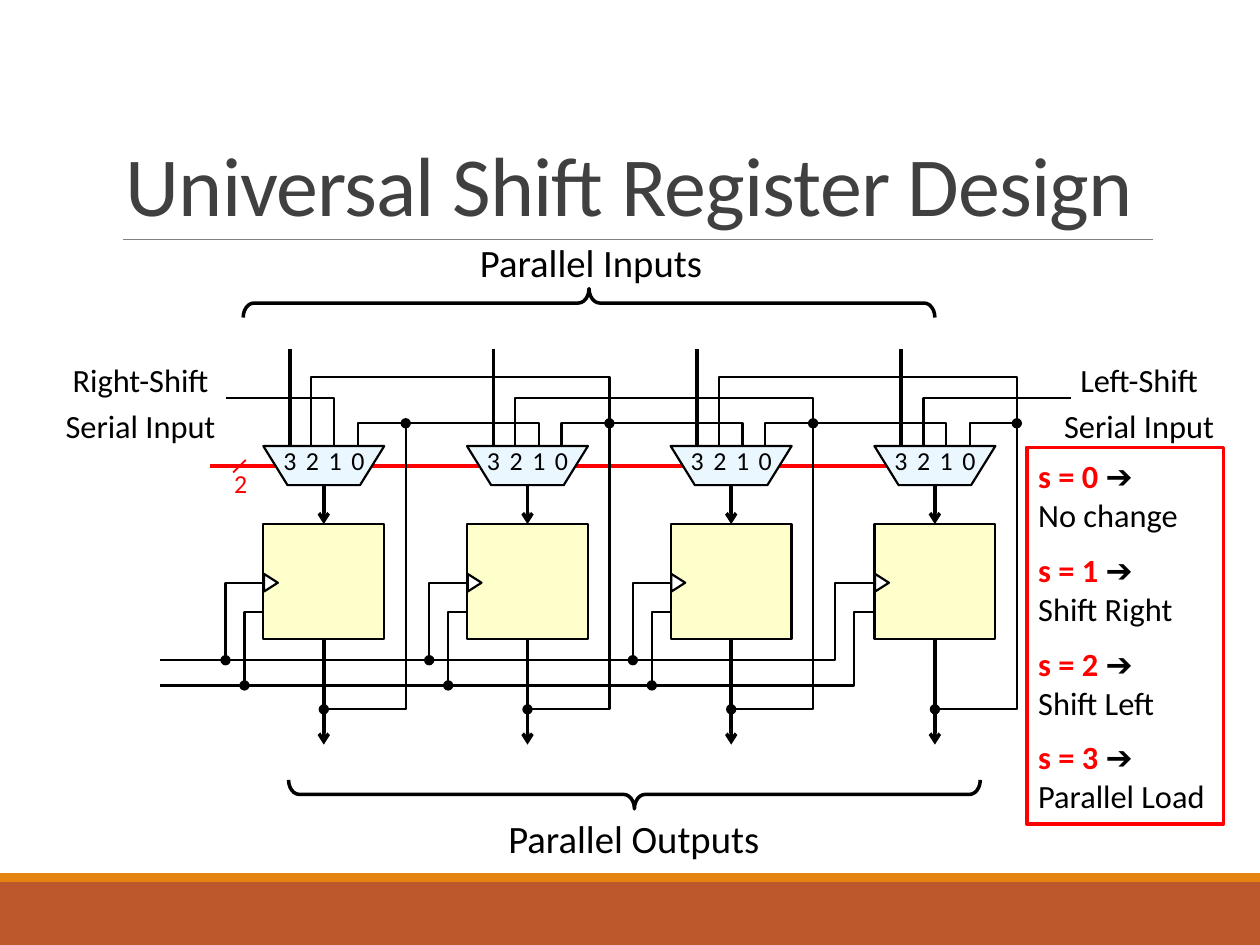
import pptx
import pptx.util
import pptx.dml.color
import pptx.enum.shapes
import pptx.enum.text
import pptx.oxml.ns
import lxml.etree
import dataclasses

Inches = pptx.util.Inches
Pt = pptx.util.Pt
Shape = pptx.enum.shapes.MSO_SHAPE
Align = pptx.enum.text.PP_ALIGN
Anchor = pptx.enum.text.MSO_ANCHOR
qn = pptx.oxml.ns.qn


@dataclasses.dataclass(frozen=True)
class Theme:
    font: str = "Calibri"
    ink: str = "000000"
    red: str = "FF0000"
    gray: str = "404040"
    rule: str = "808080"
    rust: str = "BD582C"
    gold: str = "E48312"
    mux: str = "EBF7FF"
    cell: str = "FFFFCC"
    white: str = "FFFFFF"
    title: float = 48
    head: float = 22.1
    label: float = 18.5
    small: float = 14.8
    thin: float = 1.25
    thick: float = 2


def color(code):
    return pptx.dml.color.RGBColor.from_string(code)


class Board:
    def __init__(self, slide, theme):
        self.slide = slide
        self.theme = theme

    def stroke(self, line, code, width, head=None, tail=None):
        line.color.rgb = color(code)
        line.width = Pt(width)
        for tag, kind in (("a:headEnd", head), ("a:tailEnd", tail)):
            if kind:
                end = lxml.etree.SubElement(line._get_or_add_ln(), qn(tag))
                end.set("type", kind)

    def line(self, x1, y1, x2, y2, code=None, width=None, tail=None):
        link = self.slide.shapes.add_connector(
            pptx.enum.shapes.MSO_CONNECTOR.STRAIGHT,
            Inches(x1), Inches(y1), Inches(x2), Inches(y2))
        self.stroke(link.line, code or self.theme.ink,
                    width or self.theme.thick, tail=tail)
        lxml.etree.SubElement(link._element.spPr, qn("a:effectLst"))
        return link

    def wire(self, *points, head=None, tail=None):
        spots = [(Inches(x), Inches(y)) for x, y in points]
        path = self.slide.shapes.build_freeform(*spots[0])
        path.add_line_segments(spots[1:], close=False)
        shape = path.convert_to_shape()
        shape.shadow.inherit = False
        shape.fill.background()
        self.stroke(shape.line, self.theme.ink, self.theme.thin, head, tail)

    def shape(self, kind, x, y, w, h, fill=None, edge=None, width=None, turn=0):
        shape = self.slide.shapes.add_shape(
            kind, Inches(x), Inches(y), Inches(w), Inches(h))
        shape.shadow.inherit = False
        shape.rotation = turn
        if fill:
            shape.fill.solid()
            shape.fill.fore_color.rgb = color(fill)
        else:
            shape.fill.background()
        if edge:
            self.stroke(shape.line, edge, width or self.theme.thin)
        else:
            shape.line.fill.background()
        return shape

    def brace(self, x, y, turn):
        brace = self.shape(Shape.RIGHT_BRACE, x, y, 0.23, 5.49,
                           edge=self.theme.ink, width=self.theme.thick, turn=turn)
        brace.adjustments[0] = 0.372

    def frame(self, shape, pad=0, anchor=Anchor.MIDDLE):
        frame = shape.text_frame
        frame.word_wrap = True
        frame.vertical_anchor = anchor
        frame.margin_left = frame.margin_right = Inches(pad)
        frame.margin_top = frame.margin_bottom = 0
        return frame

    def style(self, para, size, code, align=Align.CENTER):
        para.alignment = align
        para.font.name = self.theme.font
        para.font.size = Pt(size)
        para.font.color.rgb = color(code)

    def text(self, x, y, w, h, rows, size, code=None, space=None):
        box = self.slide.shapes.add_textbox(
            Inches(x), Inches(y), Inches(w), Inches(h))
        frame = self.frame(box)
        for i, row in enumerate(rows):
            para = frame.add_paragraph() if i else frame.paragraphs[0]
            para.add_run().text = row
            if space:
                para.line_spacing = space
            self.style(para, size, code or self.theme.ink)
        return box

    def title(self, text):
        box = self.text(0.9, 0.31, 8.25, 1.59, [text],
                        self.theme.title, self.theme.gray, 0.85)
        frame = self.frame(box, 0.1, Anchor.BOTTOM)
        frame.margin_bottom = Inches(0.05)
        para = frame.paragraphs[0]
        para.alignment = Align.LEFT
        para.runs[0]._r.get_or_add_rPr().set("spc", "-50")

    def legend(self, x, y, w, h, modes):
        box = self.shape(Shape.RECTANGLE, x, y, w, h,
                         edge=self.theme.red, width=self.theme.thick)
        frame = self.frame(box, 0.09)
        for i, mode in enumerate(modes):
            para = frame.add_paragraph() if i else frame.paragraphs[0]
            if i:
                para.space_before = Pt(9.2)
            self.style(para, self.theme.label, self.theme.ink, Align.LEFT)
            code = para.add_run()
            code.text = f"s = {i} "
            code.font.bold = True
            code.font.color.rgb = color(self.theme.red)
            para.add_run().text = "➔"
            para = frame.add_paragraph()
            para.add_run().text = mode
            self.style(para, self.theme.label, self.theme.ink, Align.LEFT)

    def stage(self, x):
        theme = self.theme
        mid = x + 0.48
        mux = self.shape(Shape.FLOWCHART_MANUAL_OPERATION, x, 3.54, 0.96, 0.31,
                         theme.mux, theme.ink)
        for i, pin in enumerate("3210"):
            self.text(x + 0.12 + 0.18 * i, 3.56, 0.18, 0.19, [pin], theme.small)
        cell = self.shape(Shape.RECTANGLE, x, 4.16, 0.96, 0.91, theme.cell, theme.ink)
        self.shape(Shape.ISOSCELES_TRIANGLE, x - 0.01, 4.57, 0.14, 0.11,
                   theme.white, theme.ink, turn=90)
        feed = self.line(mid, 3.85, mid, 4.16, tail="arrow")
        feed.begin_connect(mux, 2)
        feed.end_connect(cell, 0)
        out = self.line(mid, 5.07, mid, 5.91, tail="arrow")
        out.begin_connect(cell, 2)
        self.line(x + 0.21, 2.77, x + 0.21, 3.54)
        self.wire((mid, 5.63), (x + 1.13, 5.63), (x + 1.13, 3.36),
                  head="oval", tail="oval")


def main():
    deck = pptx.Presentation()
    deck.slide_width, deck.slide_height = Inches(10), Inches(7.5)
    theme = Theme()
    board = Board(deck.slides.add_slide(deck.slide_layouts[6]), theme)

    board.shape(Shape.RECTANGLE, 0, 7, 10, 0.5, theme.rust)
    board.shape(Shape.RECTANGLE, 0, 6.93, 10, 0.07, theme.gold)
    board.line(0.98, 1.9, 9.15, 1.9, theme.rule, 0.5)
    board.title("Universal Shift Register Design")

    first, last = 2.09, 6.94
    step = (last - first) / 3
    lefts = [first + step * i for i in range(4)]
    board.line(1.67, 3.7, 7.12, 3.7, theme.red, 2.5)
    board.wire((first + 0.56, 3.54), (first + 0.56, 3.16), (1.79, 3.16))
    board.wire((last + 0.39, 3.54), (last + 0.39, 3.16), (8.5, 3.16))
    board.wire((last + 0.76, 3.54), (last + 0.76, 3.36), (last + 1.14, 3.36))
    for i, x in enumerate(lefts[:-1]):
        top = 3.16 if i % 2 else 2.99
        tap = lefts[i + 1] + 1.13
        board.wire((x + 0.38, 3.54), (x + 0.38, top), (tap, top), (tap, 3.36))
        pin = lefts[i + 1] + 0.57
        board.wire((x + 0.75, 3.54), (x + 0.75, 3.36), (pin, 3.36), (pin, 3.54))
    for gap, port, bus in ((0.3, 4.63, 5.24), (0.15, 4.86, 5.44)):
        for x in lefts[:-1]:
            board.wire((x - gap, bus), (x - gap, port), (x, port), head="oval")
        turn = last - gap - 0.01
        board.wire((last, port), (turn, port), (turn, bus), (1.27, bus))
    for x in lefts:
        board.stage(x)

    board.brace(4.56, -0.34, 270)
    board.brace(4.92, 3.56, 90)
    board.text(3.49, 1.9, 2.4, 0.36, ["Parallel Inputs"], theme.head)
    board.text(3.83, 6.47, 2.4, 0.36, ["Parallel Outputs"], theme.head)
    for x, w, side in ((0.29, 1.65, "Right-Shift"), (8.08, 1.92, "Left-Shift")):
        board.text(x, 2.88, w, 0.57, [side, "Serial Input"], theme.label, space=1.2)
    board.line(1.95, 3.65, 1.85, 3.75, theme.red, 1)
    board.text(1.79, 3.73, 0.24, 0.21, ["2"], theme.small, theme.red)
    board.legend(8.15, 3.55, 1.56, 2.99,
                 ["No change", "Shift Right", "Shift Left", "Parallel Load"])
    deck.save("out.pptx")


if __name__ == "__main__":
    main()
